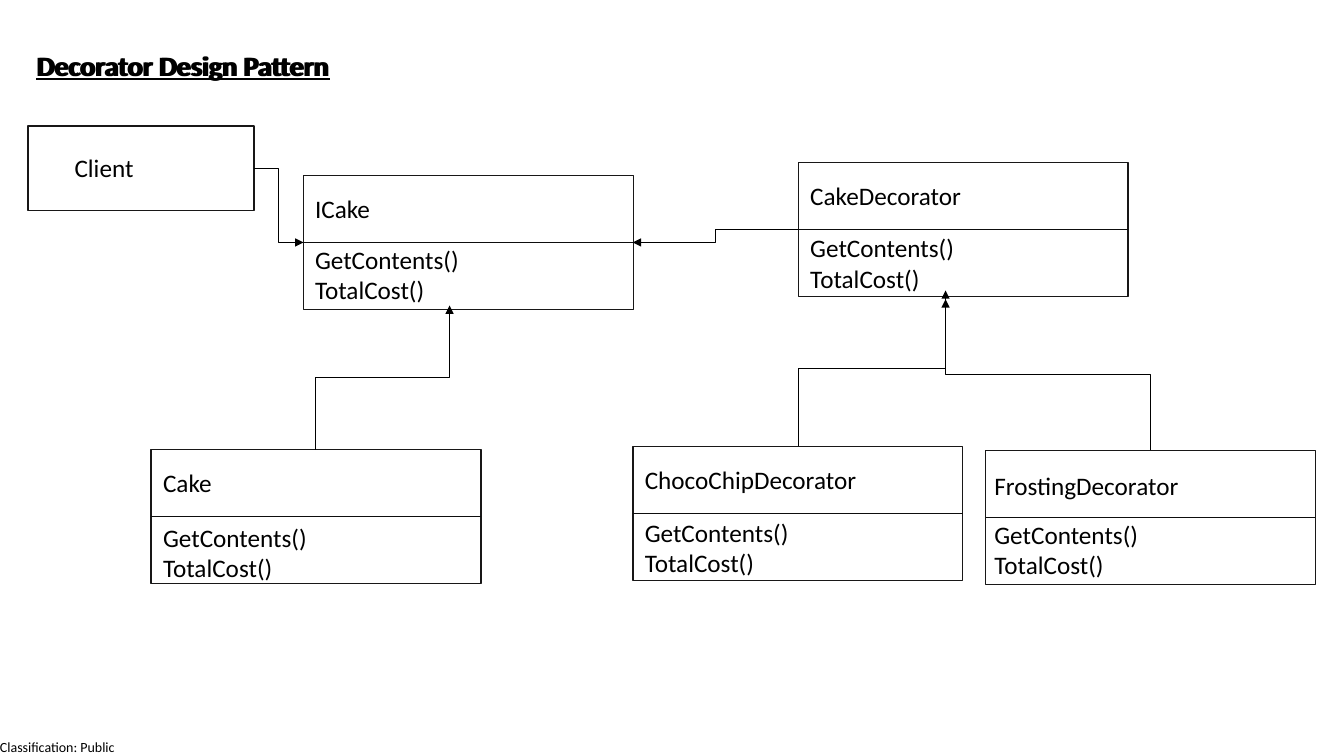
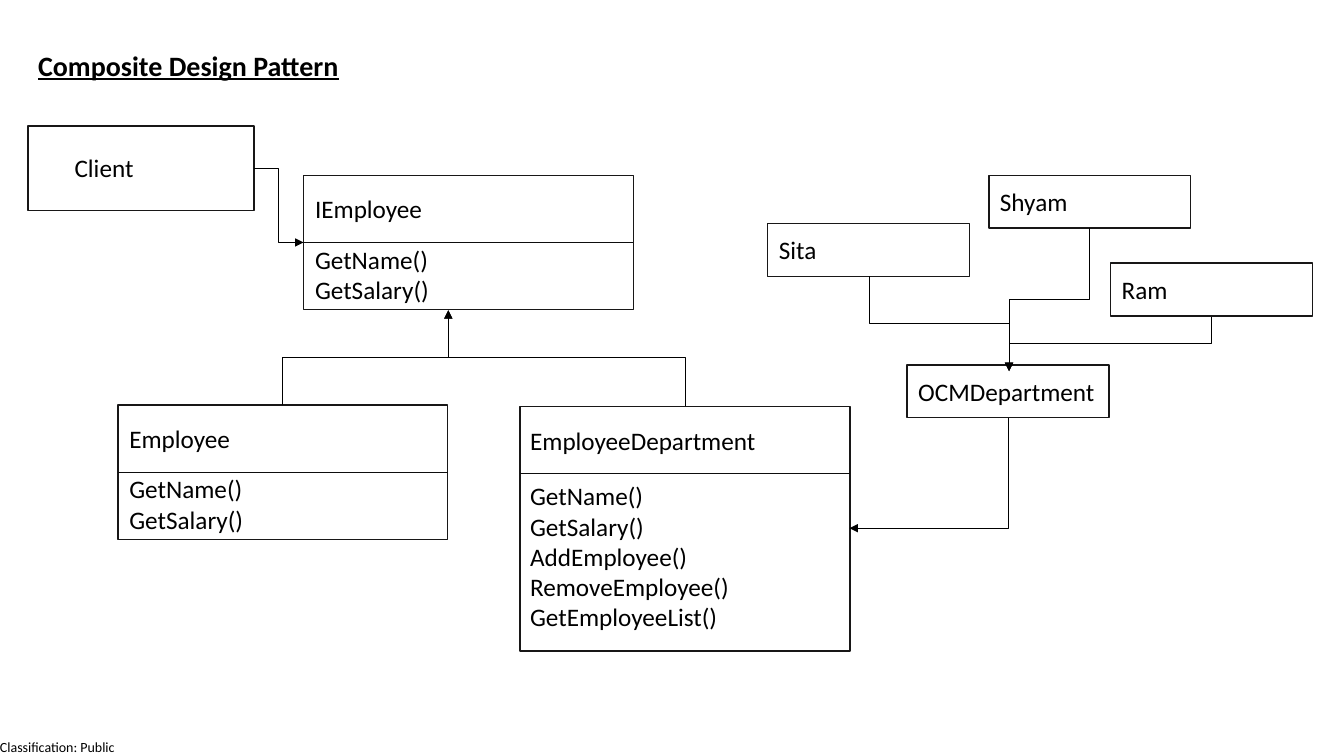
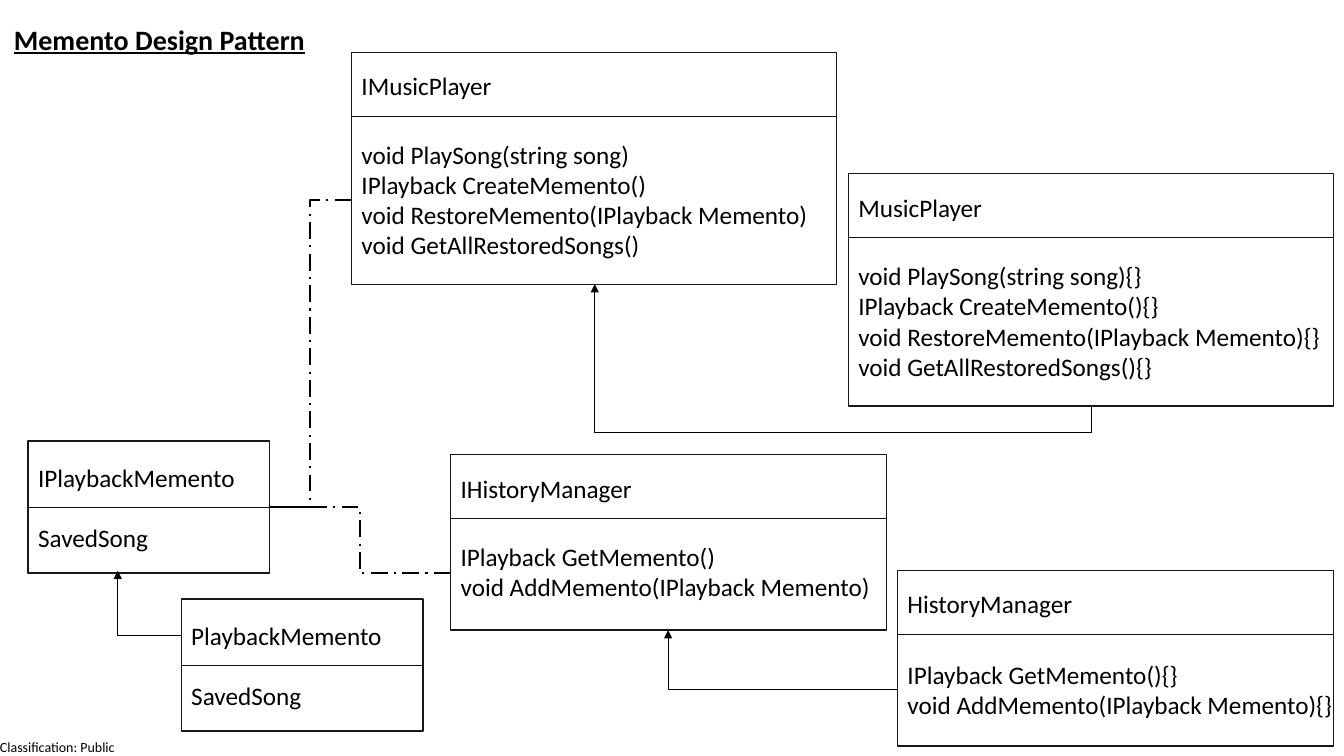
from lxml.etree import SubElement
from pptx import Presentation
from pptx.dml.color import RGBColor
from pptx.enum.dml import MSO_LINE
from pptx.enum.shapes import MSO_CONNECTOR as LINK, MSO_SHAPE
from pptx.enum.text import MSO_ANCHOR, MSO_AUTO_SIZE, PP_ALIGN
from pptx.oxml.ns import qn
from pptx.util import Cm, Pt

# Shared look
BLACK = RGBColor(0x00, 0x00, 0x00)
EDGE = RGBColor(0x18, 0x17, 0x17)
RULE = RGBColor(0x0D, 0x0D, 0x0D)
FONT = "Calibri"
HEAD = dict(size=20, bold=True, under=True)

# Box sizes: width, height, drop of the divider (0 for none)
BASE = (8.31, 3.38, 1.69)
TALL = (8.31, 6.17, 1.68)
WIDE = (12.23, 5.85, 1.6)
MID = (10.98, 4.42, 1.6)
SMALL = (6.09, 3.33, 1.67)
USER = (5.69, 2.13, 0)
TAG = (5.09, 1.33, 0)


def put(shape, text, size=18, bold=False, under=False, pad=None):
    frame = shape.text_frame
    frame.word_wrap = True
    frame.auto_size = MSO_AUTO_SIZE.NONE
    frame.vertical_anchor = MSO_ANCHOR.TOP
    if pad is not None:
        frame.margin_left = frame.margin_right = Cm(pad)
        frame.margin_top = frame.margin_bottom = Cm(pad)
    frame.text = text
    for para in frame.paragraphs:
        para.alignment = PP_ALIGN.LEFT
        font = para.runs[0].font
        font.name, font.size = FONT, Pt(size)
        font.bold, font.underline = bold, under
        font.color.rgb = BLACK


def join(slide, kind, start, end, color=BLACK, width=0.5, turn=False,
         bend=None, corner=False, dash=False, tip=True):
    (x1, y1), (x2, y2) = start, end
    if turn:
        # Draw it lying down about its centre; a quarter turn stands it up
        mx, my = (x1 + x2) / 2, (y1 + y2) / 2
        dx, dy = (x2 - x1) / 2, (y2 - y1) / 2
        x1, y1, x2, y2 = mx - dy, my + dx, mx + dy, my - dx
    link = slide.shapes.add_connector(kind, Cm(x1), Cm(y1), Cm(x2), Cm(y2))
    link.line.width = Pt(width)
    link.line.color.rgb = color
    if dash:
        link.line.dash_style = MSO_LINE.LONG_DASH_DOT
    if tip:
        SubElement(link.line._get_or_add_ln(), qn("a:tailEnd"), type="triangle")
    props = link.element.spPr
    SubElement(props, qn("a:effectLst"))
    if turn:
        props.find(qn("a:xfrm")).set("rot", "5400000")
    geom = props.find(qn("a:prstGeom"))
    if corner:
        geom.set("prst", "bentConnector2")
    if bend is not None:
        SubElement(geom.find(qn("a:avLst")), qn("a:gd"), name="adj1",
                   fmla=f"val {round(bend * 100000)}")
    return link


# Parts used on more than one slide
UP = dict(turn=True)
TURN = dict(corner=True)
DASH = dict(dash=True, tip=False, width=1.5)
CLIENT = ("Client", 0.71, 3.18, USER, 0.92, 0.53, 0, "")
ASK = ((6.4, 4.24), (7.65, 6.11), {})
CAKE = "GetContents()\nTotalCost()"
STAFF = "GetName()\nGetSalary()"
SONG = ("void PlaySong(string song){0}\nIPlayback CreateMemento(){0}\n"
        "void RestoreMemento(IPlayback Memento){0}\n"
        "void GetAllRestoredSongs(){0}")
PAST = "IPlayback GetMemento(){0}\nvoid AddMemento(IPlayback Memento){0}"

# Title, its places, boxes, links
# Box: name, left, top, size, text shift, name drop, list drop, list
# Link: start, end, options
PAGES = [
    ("Decorator Design Pattern", [(0.66, 1.09), (0.71, 1.09)], [
        CLIENT,
        ("ICake", 7.65, 4.42, BASE, 0.04, 0.33, 1.6, CAKE),
        ("Cake", 3.81, 11.33, BASE, 0.05, 0.33, 1.7, CAKE),
        ("CakeDecorator", 20.12, 4.09, BASE, 0.05, 0.33, 1.65, CAKE),
        ("ChocoChipDecorator", 15.95, 11.25, BASE, 0.05, 0.33, 1.65, CAKE),
        ("FrostingDecorator", 24.84, 11.35, BASE, -0.03, 0.38, 1.6, CAKE),
    ], [
        ASK,
        ((7.96, 11.33), (11.33, 7.7), UP),
        ((20.11, 11.25), (23.83, 7.32), UP),
        ((29, 11.35), (23.83, 7.54), UP),
        ((20.12, 5.78), (15.95, 6.11), {}),
    ]),
    ("Composite Design Pattern", [(0.71, 1.09)], [
        CLIENT,
        ("IEmployee", 7.65, 4.42, BASE, 0.04, 0.33, 1.6, STAFF),
        ("EmployeeDepartment", 13.11, 10.24, TALL, 0, 0.36, 1.75,
         STAFF + "\nAddEmployee()\nRemoveEmployee()\nGetEmployeeList()"),
        ("Employee", 2.97, 10.21, BASE, 0.04, 0.33, 1.6, STAFF),
        ("OCMDepartment", 22.86, 9.2, TAG, 0.03, 0.15, 0, ""),
        ("Ram", 27.99, 6.63, TAG, 0.03, 0.15, 0, ""),
        ("Shyam", 24.92, 4.42, TAG, 0.03, 0.15, 0, ""),
        ("Sita", 19.35, 5.64, TAG, 0.03, 0.15, 0, ""),
    ], [
        ASK,
        ((7.12, 10.21), (11.3, 7.82), UP),
        ((17.27, 10.24), (11.3, 7.82), dict(turn=True, bend=0.51)),
        ((25.4, 10.54), (21.41, 13.31), dict(turn=True, corner=True)),
        ((21.92, 6.96), (25.43, 9.35), UP),
        ((27.46, 5.74), (25.43, 9.35), UP),
        ((30.53, 7.98), (25.43, 9.35), UP),
    ]),
    ("Memento Design Pattern", [(0.1, 0.43)], [
        ("IMusicPlayer", 8.86, 1.32, WIDE, 0, 0.33, 2.06, SONG.format("")),
        ("IPlaybackMemento", 0.71, 11.11, SMALL, 0, 0.41, 1.93, "SavedSong"),
        ("IHistoryManager", 11.36, 11.46, MID, 0, 0.33, 2.06, PAST.format("")),
        ("PlaybackMemento", 4.57, 15.09, SMALL, 0, 0.41, 1.93, "SavedSong"),
        ("HistoryManager", 22.62, 14.38, MID, 0, 0.33, 2.1, PAST.format("{}")),
        ("MusicPlayer", 21.38, 4.38, WIDE, 0, 0.33, 2.06, SONG.format("{}")),
    ], [
        ((4.57, 16), (2.97, 14.38), TURN),
        ((22.61, 17.37), (16.84, 15.88), TURN),
        ((27.51, 10.24), (14.99, 7.16), dict(turn=True, bend=-0.21)),
        ((11.36, 14.43), (6.78, 12.78), DASH),
        ((8.86, 5.05), (6.78, 12.78), DASH),
    ]),
]

deck = Presentation()
deck.slide_width, deck.slide_height = Cm(33.87), Cm(19.05)

for page, (title, spots, boxes, links) in enumerate(PAGES):
    slide = deck.slides.add_slide(deck.slide_layouts[5])
    shapes = slide.shapes

    # Footer: made once, then moved to the master
    if page == 0:
        foot = shapes.add_textbox(Cm(0), Cm(18.62), Cm(3.2), Cm(0.43))
        put(foot, "Classification: Public", size=10, pad=0)
        foot.element.nvSpPr.cNvPr.set("id", "20")
        deck.slide_master.shapes.element.append(foot.element)

    # Title, with a second layer where two places are given
    head = shapes.title
    head.left, head.top = [Cm(n) for n in spots[0]]
    head.width, head.height = Cm(17.04), Cm(1.12)
    put(head, title, pad=None, **HEAD)
    head.text_frame.margin_left = Cm(0.25)
    for x, y in spots[1:]:
        put(shapes.add_textbox(Cm(x), Cm(y), Cm(17.04), Cm(1.12)), title, **HEAD)

    # Class boxes
    for name, x, y, (w, h, cut), shift, drop, fall, items in boxes:
        box = shapes.add_shape(MSO_SHAPE.RECTANGLE, Cm(x), Cm(y), Cm(w), Cm(h))
        box.shadow.inherit = False
        box.fill.background()
        box.line.color.rgb = EDGE
        box.line.width = Pt(1)
        if cut:
            bar = join(slide, LINK.STRAIGHT, (x, y + cut), (x + w, y + cut),
                       color=RULE, tip=False)
            if abs(cut - h / 2) < 0.01:
                bar.begin_connect(box, 1)
                bar.end_connect(box, 3)
        for text, down in ((name, drop), (items, fall)):
            if text:
                tall = 0.25 + 0.77 * len(text.split("\n"))
                put(shapes.add_textbox(Cm(x + shift), Cm(y + down),
                                       Cm(w + 0.5), Cm(tall)), text)

    # Elbow links
    for start, end, look in links:
        join(slide, LINK.ELBOW, start, end, **look)

deck.save("out.pptx")
